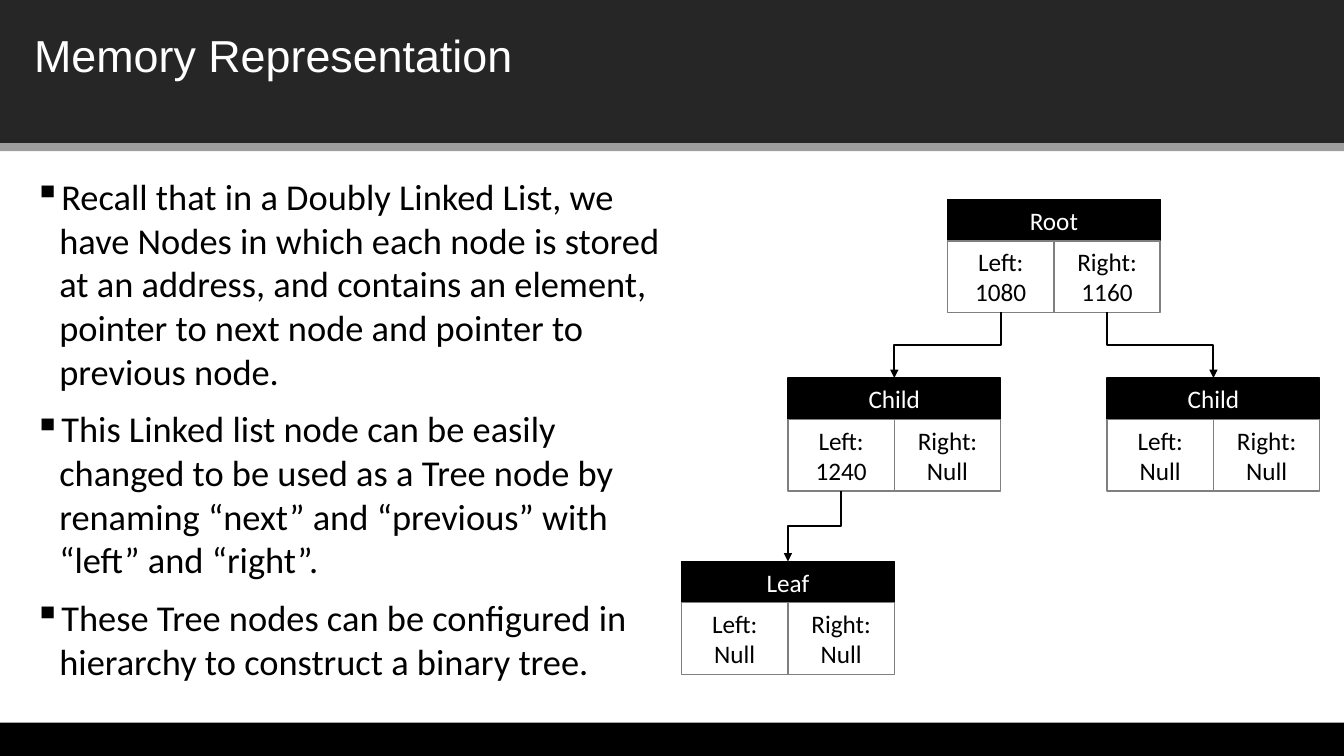
from lxml.etree import SubElement
from pptx import Presentation
from pptx.dml.color import RGBColor
from pptx.enum.shapes import MSO_CONNECTOR, MSO_SHAPE
from pptx.enum.text import MSO_ANCHOR, PP_ALIGN
from pptx.oxml.ns import qn
from pptx.util import Inches, Pt

deck = Presentation()
deck.slide_width = Inches(13.33)
deck.slide_height = Inches(7.5)
page = deck.slides.add_slide(deck.slide_layouts[6])


def add_box(left, top, width, height, fill, line=None):
    """Draw a flat rectangle, measured in inches, with an optional 1 pt outline."""
    box = page.shapes.add_shape(MSO_SHAPE.RECTANGLE, Inches(left), Inches(top), Inches(width), Inches(height))
    box.shadow.inherit = False
    box.fill.solid()
    box.fill.fore_color.rgb = RGBColor.from_string(fill)
    if line:
        box.line.color.rgb = RGBColor.from_string(line)
        box.line.width = Pt(1)
    else:
        box.line.fill.background()
    return box


def add_text(para, text, size, font, color):
    span = para.add_run()
    span.text = text
    span.font.size = Pt(size)
    span.font.name = font
    span.font.color.rgb = RGBColor.from_string(color)


# Header and footer bands
for top, height, fill in [(0, 1.42, "262626"), (1.42, 0.08, "9F9F9F"), (7.17, 0.33, "000000")]:
    add_box(0, top, 13.33, height, fill)

title = page.shapes.add_textbox(Inches(0.24), Inches(0.22), Inches(12.84), Inches(0.64))
title.text_frame.word_wrap = True
title.text_frame.vertical_anchor = MSO_ANCHOR.MIDDLE
add_text(title.text_frame.paragraphs[0], "Memory Representation", 32, "Arial", "FFFFFF")

# Bulleted explanation
points = [
    "Recall that in a Doubly Linked List, we have Nodes in which each node is stored at an address, "
    "and contains an element, pointer to next node and pointer to previous node.",
    "This Linked list node can be easily changed to be used as a Tree node by renaming "
    "“next” and “previous” with “left” and “right”.",
    "These Tree nodes can be configured in hierarchy to construct a binary tree.",
]
body = page.shapes.add_textbox(Inches(0.24), Inches(1.68), Inches(6.43), Inches(5.41))
body.text_frame.word_wrap = True
for index, point in enumerate(points):
    para = body.text_frame.add_paragraph() if index else body.text_frame.paragraphs[0]
    if index:
        para.space_before = Pt(10)
    properties = para._p.get_or_add_pPr()
    properties.set("marL", str(Inches(0.25)))
    properties.set("indent", str(-Inches(0.25)))
    SubElement(properties, qn("a:buChar"), char="▪")
    add_text(para, point, 26, "Calibri", "000000")

# Tree nodes: label, grid column, level, left pointer, right pointer
tree_left = 6.76
column = 2.11 / 2
level_tops = [1.98, 3.75, 5.57]
header_height = 0.41
cell_height = 0.71
nodes = [
    ("Root", 2.5, 0, "1080", "1160"),
    ("Child", 1, 1, "1240", "Null"),
    ("Child", 4, 1, "Null", "Null"),
    ("Leaf", 0, 2, "Null", "Null"),
]
for label, start, level, left_address, right_address in nodes:
    left = tree_left + start * column
    top = level_tops[level]
    cell_top = top + header_height
    parts = [
        (label, left, top, 2 * column, header_height, "000000", "000000", "FFFFFF"),
        (f"Left: {left_address}", left, cell_top, column, cell_height, "FFFFFF", "7F7F7F", "000000"),
        (f"Right: {right_address}", left + column, cell_top, column, cell_height, "FFFFFF", "7F7F7F", "000000"),
    ]
    for text, *bounds, fill, line, color in parts:
        box = add_box(*bounds, fill, line)
        box.text_frame.word_wrap = True
        box.text_frame.vertical_anchor = MSO_ANCHOR.MIDDLE
        para = box.text_frame.paragraphs[0]
        para.alignment = PP_ALIGN.CENTER
        add_text(para, text, 18, "Calibri", color)

# Pointers: parent level, column under the parent cell, column above the child
for level, start, end in [(0, 3, 2), (0, 4, 5), (1, 1.5, 1)]:
    start_top = level_tops[level] + header_height + cell_height
    drop = level_tops[level + 1] - start_top
    reach = abs(end - start) * column
    # The elbow is laid out sideways around its centre, then turned to leave downwards
    left = tree_left + (start + end) / 2 * column - drop / 2
    top = start_top + drop / 2 - reach / 2
    pointer = page.shapes.add_connector(
        MSO_CONNECTOR.ELBOW, Inches(left), Inches(top), Inches(left + drop), Inches(top + reach))
    pointer.line.color.rgb = RGBColor.from_string("000000")
    pointer.line.width = Pt(1.5)
    shape_properties = pointer._element.spPr
    frame = shape_properties.find(qn("a:xfrm"))
    frame.set("rot", str((90 if end < start else 270) * 60000))
    if end > start:
        frame.set("flipH", "1")
    SubElement(pointer.line._get_or_add_ln(), qn("a:tailEnd"), type="triangle")
    SubElement(shape_properties, qn("a:effectLst"))

deck.save("out.pptx")
